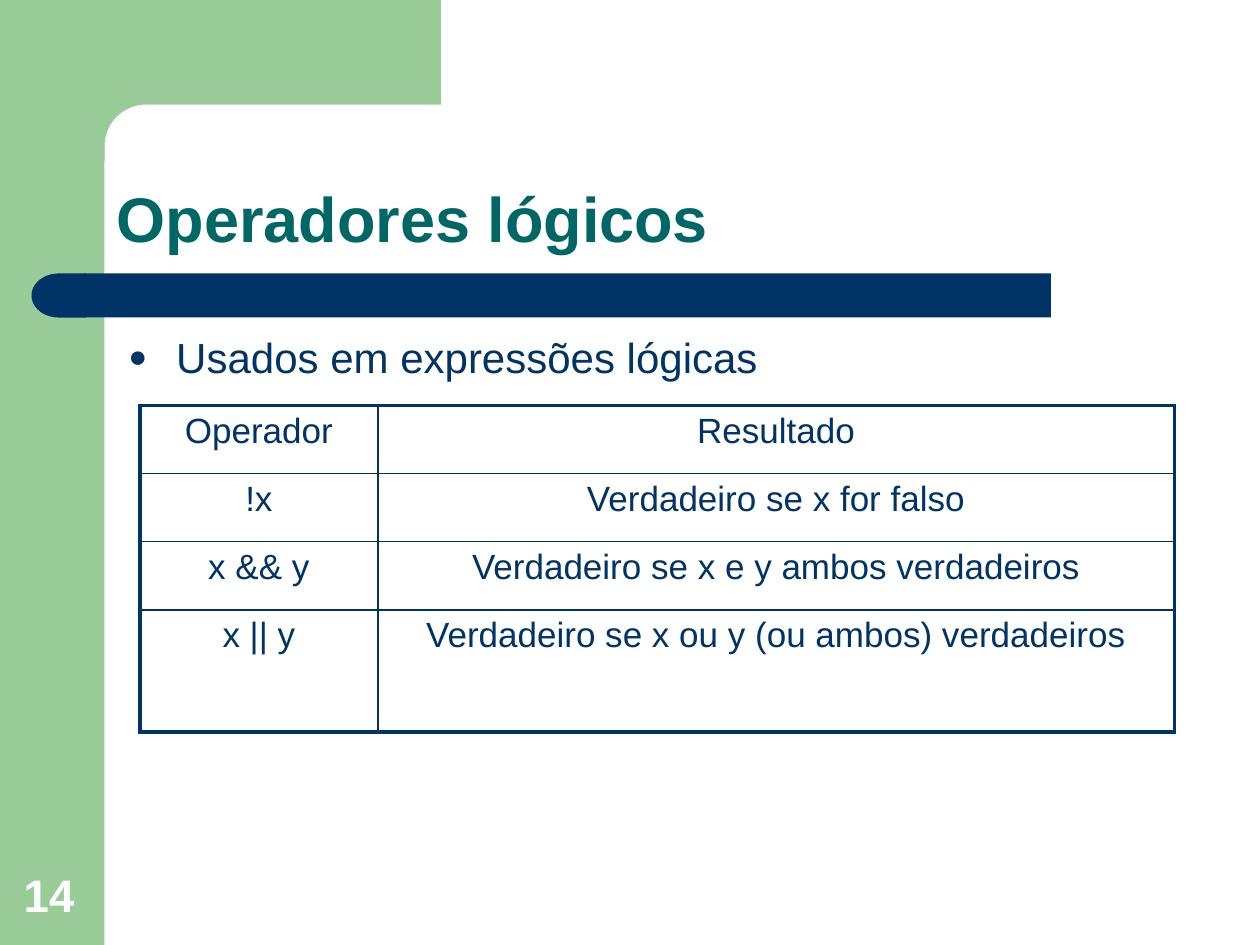
from math import cos, pi, sin

from lxml.etree import SubElement
from pptx import Presentation
from pptx.dml.color import RGBColor
from pptx.enum.shapes import MSO_SHAPE as Shape
from pptx.enum.text import MSO_ANCHOR as Anchor, PP_ALIGN as Align
from pptx.oxml import parse_xml
from pptx.oxml.ns import nsdecls, qn
from pptx.util import Inches, Pt

GREEN = RGBColor(0x99, 0xCC, 0x99)
NAVY = RGBColor(0x00, 0x33, 0x66)
TEAL = RGBColor(0x00, 0x66, 0x66)
WHITE = RGBColor(0xFF, 0xFF, 0xFF)

THICK, THIN = 2.25, 1
COLUMN_WIDTHS = (1.89, 6.32)
ROW_HEIGHTS = (0.54, 0.54, 0.54, 0.97)
ROWS = (
    ("Operador", "Resultado"),
    ("!x", "Verdadeiro se x for falso"),
    ("x && y", "Verdadeiro se x e y ambos verdadeiros"),
    ("x || y", "Verdadeiro se x ou y (ou ambos) verdadeiros"),
)


def paint(shape, color):
    """Give a shape a flat fill with no outline or shadow."""
    shape.shadow.inherit = False
    shape.fill.solid()
    shape.fill.fore_color.rgb = color
    shape.line.fill.background()


def add_block(page, kind, place, color):
    """Add a flat preset shape and return it."""
    block = page.shapes.add_shape(kind, *map(Inches, place))
    paint(block, color)
    return block


def add_corner(page):
    """Add the green top band with its rounded inner corner."""
    center, radius, steps = 1.16, 0.33, 16
    angles = [pi / 2 * step / steps for step in range(steps + 1)]
    arc = [(center - radius * sin(a), center - radius * cos(a)) for a in angles]
    points = [(3.5, 0), (3.5, 0.83), *arc, (0.83, 1.28), (0.5, 1.28), (0.5, 0)]
    corners = [(Inches(x), Inches(y)) for x, y in points]
    builder = page.shapes.build_freeform(*corners[0])
    builder.add_line_segments(corners[1:], close=True)
    paint(builder.convert_to_shape(), GREEN)


def style_font(font, size, color, bold=False):
    """Set the typeface, size, colour and weight of a font."""
    font.name = "Arial"
    font.size = Pt(size)
    font.color.rgb = color
    font.bold = bold


def add_text(page, place, text, size, color, bold=False, anchor=Anchor.TOP):
    """Add a wrapped one-paragraph text box and return its paragraph."""
    frame = page.shapes.add_textbox(*map(Inches, place)).text_frame
    frame.word_wrap = True
    frame.vertical_anchor = anchor
    frame.text = text
    para = frame.paragraphs[0]
    style_font(para.runs[0].font, size, color, bold)
    return para


def add_bullet(para):
    """Give a paragraph a hanging round bullet."""
    properties = para._p.get_or_add_pPr()
    properties.set("marL", str(Inches(0.38)))
    properties.set("indent", str(-Inches(0.38)))
    color = SubElement(properties, qn("a:buClr"))
    SubElement(color, qn("a:srgbClr"), val=str(NAVY))
    SubElement(properties, qn("a:buSzPct"), val="75000")
    SubElement(properties, qn("a:buFont"), typeface="Arial")
    SubElement(properties, qn("a:buChar"), char="●")


def set_borders(cell, widths):
    """Draw the left, right, top and bottom borders of a cell."""
    properties = cell._tc.get_or_add_tcPr()
    for index, (side, width) in enumerate(zip("LRTB", widths)):
        border = parse_xml(
            f'<a:ln{side} {nsdecls("a")} w="{Pt(width)}"><a:solidFill>'
            f'<a:srgbClr val="{NAVY}"/></a:solidFill></a:ln{side}>'
        )
        properties.insert(index, border)


def fill_cell(cell, text, widths):
    """Write centred text in an unfilled, bordered cell."""
    cell.fill.background()
    set_borders(cell, widths)
    cell.text = text
    para = cell.text_frame.paragraphs[0]
    para.alignment = Align.CENTER
    style_font(para.runs[0].font, 20, NAVY)


def add_operator_table(page):
    """Add the operator table with a thick outer frame."""
    place = (1.11, 3.22, sum(COLUMN_WIDTHS), sum(ROW_HEIGHTS))
    size = (len(ROWS), len(COLUMN_WIDTHS))
    table = page.shapes.add_table(*size, *map(Inches, place)).table
    table.first_row = table.horz_banding = False
    for column, width in zip(table.columns, COLUMN_WIDTHS):
        column.width = Inches(width)
    for row, height in zip(table.rows, ROW_HEIGHTS):
        row.height = Inches(height)
    last_row, last_column = size[0] - 1, size[1] - 1
    for r, texts in enumerate(ROWS):
        for c, text in enumerate(texts):
            outer = (c == 0, c == last_column, r == 0, r == last_row)
            widths = [THICK if edge else THIN for edge in outer]
            fill_cell(table.cell(r, c), text, widths)


def main():
    """Build the slide on logical operators and save it."""
    deck = Presentation()
    deck.slide_width, deck.slide_height = Inches(10), Inches(7.5)
    page = deck.slides.add_slide(deck.slide_layouts[6])
    add_block(page, Shape.RECTANGLE, (0, 0, 0.83, 7.5), GREEN)
    add_corner(page)
    add_block(page, Shape.RECTANGLE, (0.67, 2.17, 7.67, 0.35), NAVY)
    cap = add_block(page, Shape.FLOWCHART_DELAY, (0.25, 2.17, 0.43, 0.35), NAVY)
    cap.rotation = 180
    add_text(page, (0.09, 6.83, 0.64, 0.53), "14", 26, WHITE, True, Anchor.BOTTOM)
    title = add_text(page, (0.83, 0.83, 8.67, 1.25), "Operadores lógicos",
                     36, TEAL, True, Anchor.BOTTOM)
    title.line_spacing = 0.9
    body = add_text(page, (0.92, 2.58, 8.38, 0.71),
                    "Usados em expressões lógicas", 24, NAVY)
    add_bullet(body)
    add_operator_table(page)
    deck.save("out.pptx")


if __name__ == "__main__":
    main()
